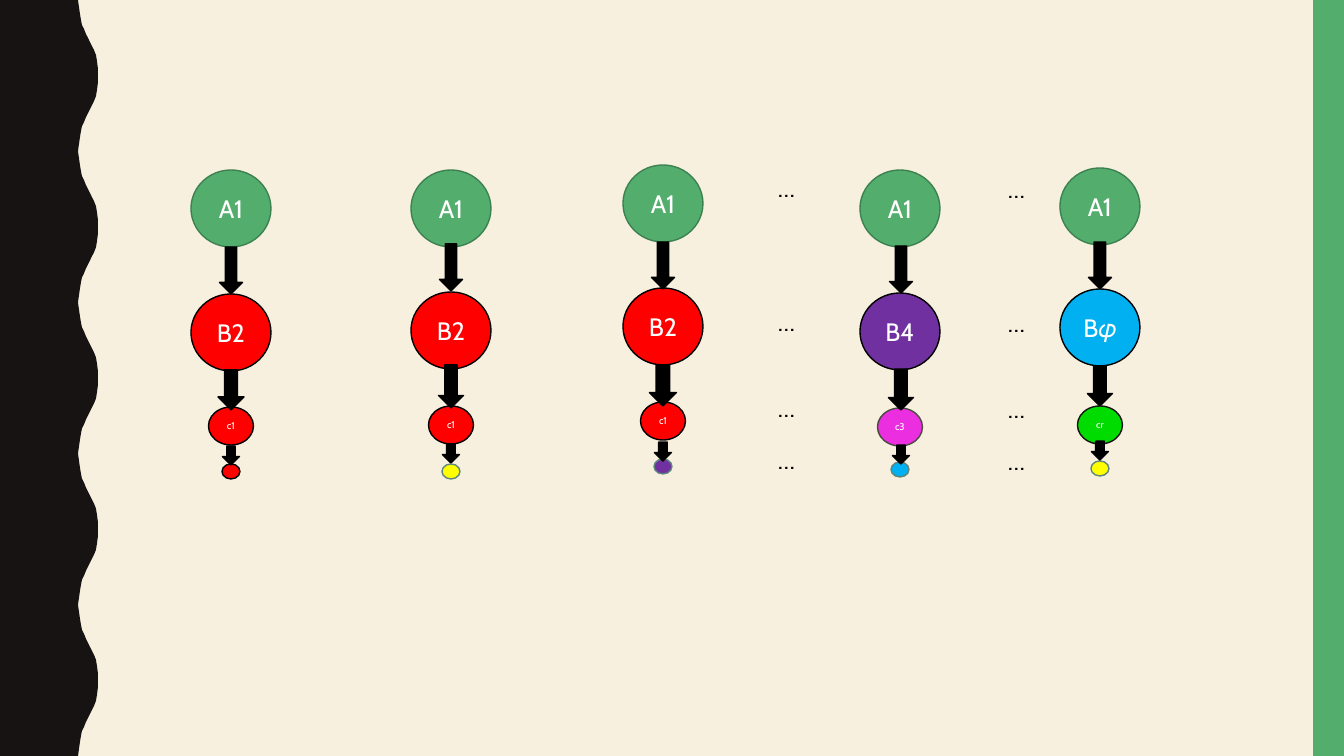
"""Build a slide of five node chains joined by down arrows."""
from pptx import Presentation
from pptx import util as u
from pptx.dml.color import RGBColor
from pptx.enum import shapes, text

WIDTH, HEIGHT = 1344, 756
FONT = "Cabin"
CREAM, INK, GREEN, WHITE, BLACK = "F7F0DF", "171312", "53AE6E", "FFFFFF", "000000"
RED, PURPLE, BLUE, YELLOW = "FF0000", "7030A0", "00B0F0", "FFFF00"
MOSS, TEAL = "3D8151", "5F867C"

LEVELS = [(80, 77, 18), (80, 77, 18), (45, 38, 7), (18, 15, 7)]
CHAINS = [
    {"center": 231, "axis": 231,
     "nodes": [(170, "A1", GREEN, MOSS), (294, "B2", RED, BLACK),
               (407, "c1", RED, BLACK), (464, "", RED, BLACK)],
     "arrows": [(247, 23, 47), (370, 26, 40), (446, 17, 19)]},
    {"center": 451, "axis": 451,
     "nodes": [(170, "A1", GREEN, MOSS), (292, "B2", RED, BLACK),
               (406, "c1", RED, BLACK), (464, "", YELLOW, TEAL)],
     "arrows": [(244, 23, 47), (365, 25, 43), (444, 17, 19)]},
    {"center": 663, "axis": 663,
     "nodes": [(165, "A1", GREEN, MOSS), (288, "B2", RED, BLACK),
               (402, "c1", RED, BLACK), (459, "", PURPLE, TEAL)],
     "arrows": [(242, 23, 47), (365, 27, 41), (442, 17, 19)]},
    {"center": 900, "axis": 901,
     "nodes": [(170, "A1", GREEN, MOSS), (293, "B4", PURPLE, BLACK),
               (408, "c3", "EB2FE0", "494A3F"), (462, "", BLUE, TEAL)],
     "arrows": [(246, 23, 47), (369, 25, 41), (445, 17, 19)]},
    {"center": 1100, "axis": 1100,
     "nodes": [(168, "A1", GREEN, MOSS), (289, "B𝜑", BLUE, BLACK),
               (406, "cr", "00DC00", INK), (461, "", YELLOW, TEAL)],
     "arrows": [(242, 23, 47), (366, 25, 40), (441, 17, 19)]},
]
ELLIPSIS_COLUMNS = [(768, 167), (998, 168)]
ELLIPSIS_ROWS = [0, 134, 220, 272]
HALF_WAVE = [(78, 0), (79, 7), (80, 14), (81, 20), (82, 25), (84, 29), (86, 34), (88, 38),
             (90, 42), (92, 46), (94, 50), (96, 55), (97, 61), (98, 69), (98, 76)]
WAVES = 5


def px(length):
    return u.Emu(round(length * 914400 / 100.8))


def color(value):
    return RGBColor.from_string(value)


def paint(shape, fill, line=None):
    shape.shadow.inherit = False
    shape.fill.solid()
    shape.fill.fore_color.rgb = color(fill)
    if line:
        shape.line.color.rgb = color(line)
        shape.line.width = u.Pt(1)
    else:
        shape.line.fill.background()


def add_shape(slide, kind, left, top, width, height, fill, line=None):
    shape = slide.shapes.add_shape(kind, px(left), px(top), px(width), px(height))
    paint(shape, fill, line)
    return shape


def write(paragraph, words, size, ink):
    run = paragraph.add_run()
    run.text = words
    run.font.name = FONT
    run.font.size = u.Pt(size)
    run.font.color.rgb = color(ink)


def add_wavy_edge(slide):
    period = HEIGHT / WAVES
    wave = HALF_WAVE + [(x, period - y) for x, y in reversed(HALF_WAVE[:-1])]
    edge = [(px(x), px(y + period * turn)) for turn in range(WAVES) for x, y in wave]
    outline = slide.shapes.build_freeform(0, 0, scale=1.0)
    outline.add_line_segments(edge + [(0, px(HEIGHT))], close=True)
    paint(outline.convert_to_shape(), INK)


def add_node(slide, center, level, node):
    width, height, size = level
    top, label, fill, line = node
    circle = add_shape(slide, shapes.MSO_SHAPE.OVAL, center - width / 2, top,
                       width, height, fill, line)
    if label:
        frame = circle.text_frame
        frame.margin_left = frame.margin_right = 0
        frame.margin_top = frame.margin_bottom = 0
        frame.vertical_anchor = text.MSO_ANCHOR.MIDDLE
        frame.paragraphs[0].alignment = text.PP_ALIGN.CENTER
        write(frame.paragraphs[0], label, size, WHITE)


def add_ellipsis(slide, left, top):
    frame = slide.shapes.add_textbox(px(left), px(top), px(45), px(40)).text_frame
    frame.word_wrap = False
    frame.auto_size = text.MSO_AUTO_SIZE.SHAPE_TO_FIT_TEXT
    write(frame.paragraphs[0], "…", 18, BLACK)


def main():
    deck = Presentation()
    deck.slide_width, deck.slide_height = px(WIDTH), px(HEIGHT)
    slide = deck.slides.add_slide(deck.slide_layouts[6])
    slide.background.fill.solid()
    slide.background.fill.fore_color.rgb = color(CREAM)

    add_wavy_edge(slide)
    add_shape(slide, shapes.MSO_SHAPE.RECTANGLE, 1313, 0, 31, HEIGHT, GREEN)
    for chain in CHAINS:
        for level, node in zip(LEVELS, chain["nodes"]):
            add_node(slide, chain["center"], level, node)
        for top, width, height in chain["arrows"]:
            add_shape(slide, shapes.MSO_SHAPE.DOWN_ARROW, chain["axis"] - width / 2, top,
                      width, height, BLACK, BLACK)
    for left, first in ELLIPSIS_COLUMNS:
        for row in ELLIPSIS_ROWS:
            add_ellipsis(slide, left, first + row)
    deck.save("out.pptx")


if __name__ == "__main__":
    main()
